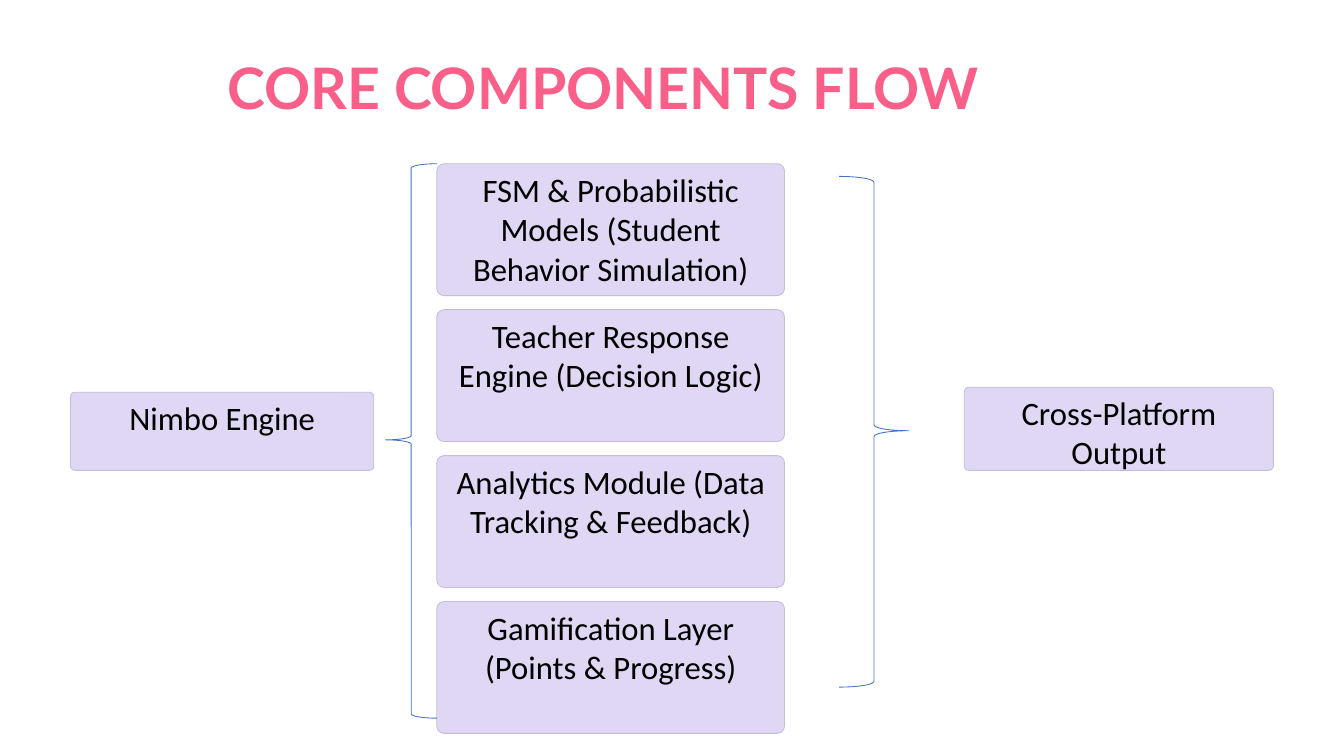
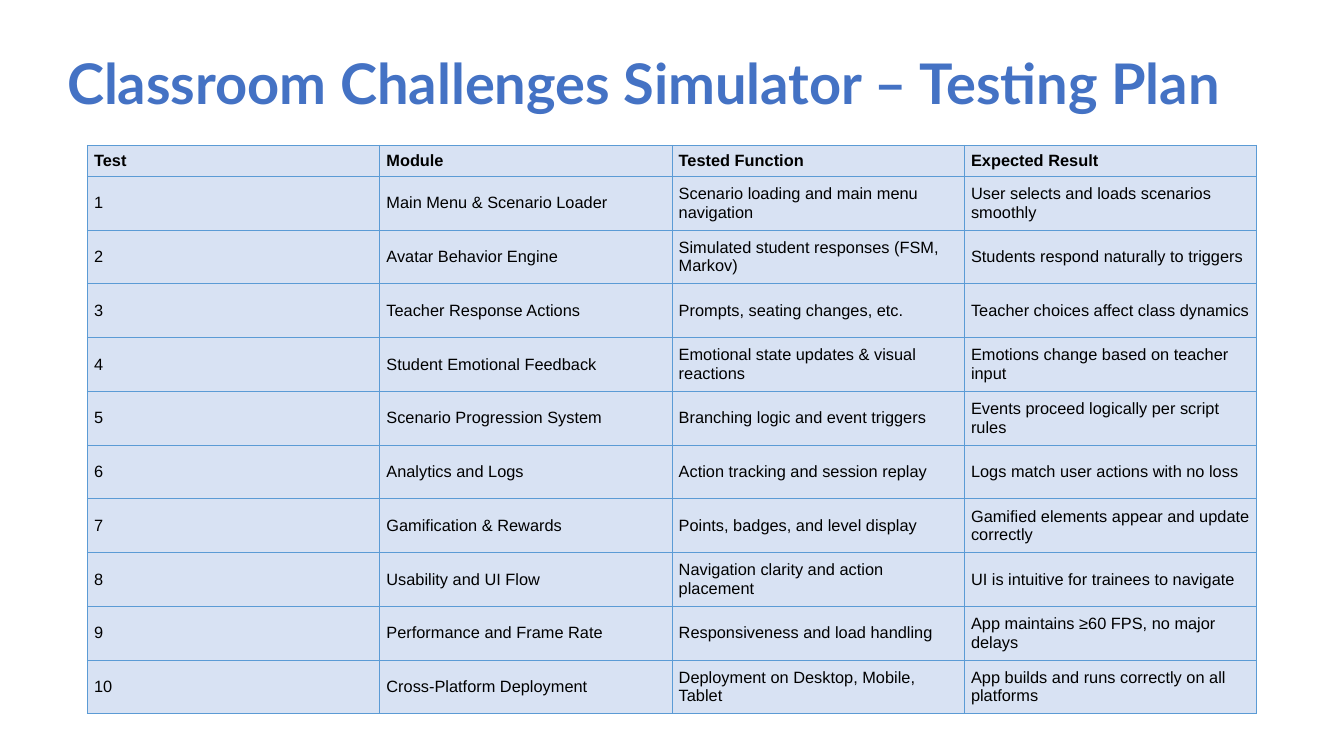
from lxml.etree import SubElement
from pptx import Presentation
from pptx.dml.color import RGBColor
from pptx.enum.shapes import MSO_SHAPE
from pptx.enum.text import MSO_ANCHOR, PP_ALIGN
from pptx.oxml.ns import qn
from pptx.util import Inches, Pt

# The slide is a grid of 16 columns and 9 rows.
SLIDE_WIDTH, SLIDE_HEIGHT = Inches(16), Inches(9)
COLUMN, ROW = SLIDE_WIDTH / 16, SLIDE_HEIGHT / 9

PINK = RGBColor(0xF9, 0x5F, 0x88)
BLUE = RGBColor(0x44, 0x72, 0xC4)
LILAC = RGBColor(0xE0, 0xD7, 0xF4)
LILAC_EDGE = RGBColor(0xC6, 0xBD, 0xDA)
PALE_BLUE = RGBColor(0xD8, 0xE2, 0xF3)
TABLE_EDGE = RGBColor(0x5B, 0x9B, 0xD5)
BLACK = RGBColor(0, 0, 0)

TITLE_FONT, BOX_FONT, TABLE_FONT = "Lato", "Calibri", "Arial"
EDGE_WIDTH = Pt(0.75)

MODULES = [
    "FSM & Probabilistic Models (Student Behavior Simulation)",
    "Teacher Response Engine (Decision Logic)",
    "Analytics Module (Data Tracking & Feedback)",
    "Gamification Layer (Points & Progress)",
]
MODULE_LEFT, MODULE_TOP, MODULE_PITCH = 5.2, 1.95, 1.737
MODULE_WIDTH, MODULE_HEIGHT = 4.14, 1.57

TEST_HEADINGS = ["Test", "Module", "Tested Function", "Expected Result"]
TESTS = [
    ("Main Menu & Scenario Loader", "Scenario loading and main menu navigation",
     "User selects and loads scenarios smoothly"),
    ("Avatar Behavior Engine", "Simulated student responses (FSM, Markov)",
     "Students respond naturally to triggers"),
    ("Teacher Response Actions", "Prompts, seating changes, etc.",
     "Teacher choices affect class dynamics"),
    ("Student Emotional Feedback", "Emotional state updates & visual reactions",
     "Emotions change based on teacher input"),
    ("Scenario Progression System", "Branching logic and event triggers",
     "Events proceed logically per script rules"),
    ("Analytics and Logs", "Action tracking and session replay",
     "Logs match user actions with no loss"),
    ("Gamification & Rewards", "Points, badges, and level display",
     "Gamified elements appear and update correctly"),
    ("Usability and UI Flow", "Navigation clarity and action placement",
     "UI is intuitive for trainees to navigate"),
    ("Performance and Frame Rate", "Responsiveness and load handling",
     "App maintains ≥60 FPS, no major delays"),
    ("Cross-Platform Deployment", "Deployment on Desktop, Mobile, Tablet",
     "App builds and runs correctly on all platforms"),
]
HEADING_HEIGHT, TEST_HEIGHT, TEST_COLUMN = 0.37, 0.64, 3.48


def place(left, top, width, height):
    """Turn grid columns and rows into slide lengths."""
    return (int(left * COLUMN), int(top * ROW),
            int(width * COLUMN), int(height * ROW))


def write(text_frame, text, font_name, size, color, bold=False, align=PP_ALIGN.LEFT):
    text_frame.word_wrap = True
    paragraph = text_frame.paragraphs[0]
    paragraph.text = text
    paragraph.alignment = align
    font = paragraph.font
    font.name, font.size, font.bold = font_name, Pt(size), bold
    font.color.rgb = color


def add_title(slide, text, area, size, color, align=PP_ALIGN.LEFT):
    title = slide.shapes.add_textbox(*place(*area))
    write(title.text_frame, text, TITLE_FONT, size, color, True, align)


def add_outlined(slide, preset, area, edge, adjustments):
    shape = slide.shapes.add_shape(preset, *place(*area))
    shape.shadow.inherit = False
    shape.line.color.rgb = edge
    shape.line.width = EDGE_WIDTH
    for index, value in enumerate(adjustments):
        shape.adjustments[index] = value
    return shape


def add_component(slide, text, *area):
    component = add_outlined(slide, MSO_SHAPE.ROUNDED_RECTANGLE, area, LILAC_EDGE, [0.055])
    component.fill.solid()
    component.fill.fore_color.rgb = LILAC
    component.text_frame.vertical_anchor = MSO_ANCHOR.TOP
    write(component.text_frame, text, BOX_FONT, 28, BLACK, align=PP_ALIGN.CENTER)


def add_brace(slide, preset, *area):
    add_outlined(slide, preset, area, BLUE, [0.083, 0.498]).fill.background()


def add_borders(cell, color, width):
    properties = cell._tc.get_or_add_tcPr()
    for side in ("a:lnL", "a:lnR", "a:lnT", "a:lnB"):
        border = SubElement(properties, qn(side), w=str(width))
        fill = SubElement(border, qn("a:solidFill"))
        SubElement(fill, qn("a:srgbClr"), val=str(color))


def fill_cell(cell, text, bold):
    add_borders(cell, TABLE_EDGE, Pt(1))
    cell.fill.solid()
    cell.fill.fore_color.rgb = PALE_BLUE
    cell.vertical_anchor = MSO_ANCHOR.MIDDLE
    cell.margin_left = cell.margin_right = Inches(0.08)
    cell.margin_top = cell.margin_bottom = Inches(0.04)
    write(cell.text_frame, text, TABLE_FONT, 14, BLACK, bold)


def add_test_table(slide, left, top):
    rows = [TEST_HEADINGS]
    rows += [(str(number), *test) for number, test in enumerate(TESTS, 1)]
    width = TEST_COLUMN * len(TEST_HEADINGS)
    height = HEADING_HEIGHT + TEST_HEIGHT * len(TESTS)
    table = slide.shapes.add_table(
        len(rows), len(TEST_HEADINGS), *place(left, top, width, height)).table
    table.first_row = table.horz_banding = False
    for row_index, texts in enumerate(rows):
        is_heading = row_index == 0
        row_height = HEADING_HEIGHT if is_heading else TEST_HEIGHT
        table.rows[row_index].height = int(row_height * ROW)
        for column_index, text in enumerate(texts):
            fill_cell(table.cell(row_index, column_index), text, is_heading)


def build_flow(slide):
    add_title(slide, "CORE COMPONENTS FLOW", (2.43, 0.58, 9.5, 0.93), 49, PINK,
              PP_ALIGN.CENTER)
    for index, module in enumerate(MODULES):
        add_component(slide, module, MODULE_LEFT, MODULE_TOP + index * MODULE_PITCH,
                      MODULE_WIDTH, MODULE_HEIGHT)
    add_component(slide, "Cross-Platform Output", 11.48, 4.61, 3.68, 0.99)
    add_component(slide, "Nimbo Engine", 0.84, 4.67, 3.61, 0.93)
    add_brace(slide, MSO_SHAPE.LEFT_BRACE, 4.59, MODULE_TOP, 0.61, 6.6)
    add_brace(slide, MSO_SHAPE.RIGHT_BRACE, 9.99, 2.1, 0.83, 6.08)


def build_testing_plan(slide):
    add_title(slide, "Classroom Challenges Simulator – Testing Plan",
              (0.7, 0.53, 14.92, 0.91), 48, BLUE)
    add_test_table(slide, 1.04, 1.73)


def main():
    presentation = Presentation()
    presentation.slide_width, presentation.slide_height = SLIDE_WIDTH, SLIDE_HEIGHT
    blank = presentation.slide_layouts[6]
    for build in (build_flow, build_testing_plan):
        build(presentation.slides.add_slide(blank))
    presentation.save("out.pptx")


if __name__ == "__main__":
    main()
